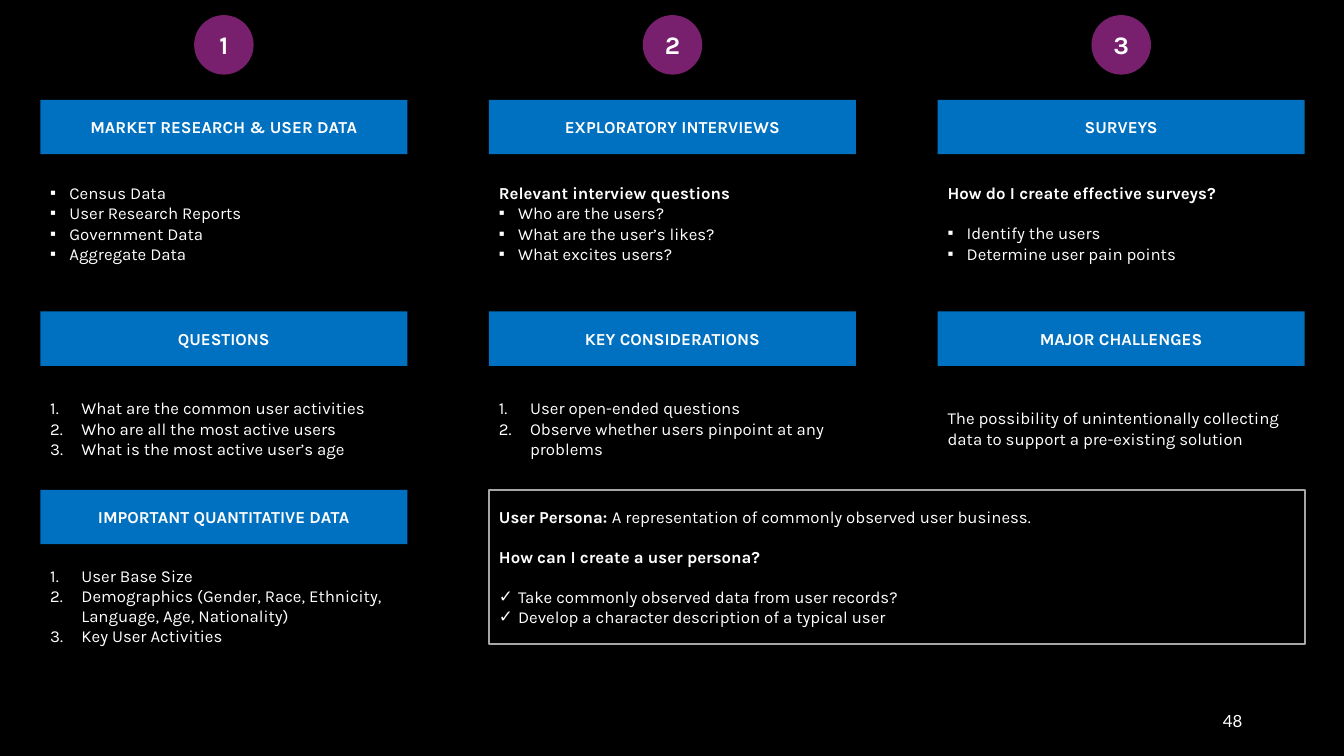
from dataclasses import dataclass

from lxml import etree
from pptx import Presentation
from pptx.dml.color import RGBColor
from pptx.enum import shapes, text
from pptx.oxml import ns
from pptx.shapes.autoshape import Shape
from pptx.slide import Slide
from pptx.util import Inches, Pt

BLACK = RGBColor(0x00, 0x00, 0x00)
WHITE = RGBColor(0xFF, 0xFF, 0xFF)
BLUE = RGBColor(0x00, 0x70, 0xC0)
PURPLE = RGBColor(0x78, 0x20, 0x6E)
GREY = RGBColor(0xA6, 0xA6, 0xA6)

LEFT, COLUMN_STEP, COLUMN_WIDTH = 0.4, 4.45, 3.64
HEADER_HEIGHT, BADGE_SIZE = 0.54, 0.59
BLANK_LINE = 14.2
SQUARE, CHECK, NUMBER = "▪", "✓", "1."
INDENTS = {SQUARE: 0.19, CHECK: 0.19, NUMBER: 0.31}
Align = text.PP_ALIGN


@dataclass(frozen=True)
class Run:
    text: str
    bold: bool = False
    size: float = 12
    font: str = "Karla"


@dataclass(frozen=True)
class Line:
    runs: tuple[Run, ...]
    bullet: str = ""
    align: Align = Align.LEFT
    gap: float = 0


@dataclass(frozen=True)
class Section:
    column: int
    header_top: float
    title: str
    body_top: float
    body_height: float
    body_width: float
    lines: list[Line]


def items(bullet: str, *texts: str, align: Align = Align.LEFT, gap: float = 0) -> list[Line]:
    """Make list lines, with the gap only above the first one."""
    return [Line((Run(item),), bullet, align, 0 if index else gap)
            for index, item in enumerate(texts)]


def heading(words: str, align: Align = Align.LEFT, gap: float = 0) -> Line:
    return Line((Run(words, bold=True),), align=align, gap=gap)


SECTIONS = [
    Section(0, 0.99, "MARKET RESEARCH & USER DATA", 1.73, 0.97, 2.64,
            items(SQUARE, "Census Data", "User Research Reports", "Government Data",
                  "Aggregate Data", align=Align.JUSTIFY)),
    Section(0, 3.09, "QUESTIONS", 3.87, 0.76, COLUMN_WIDTH,
            items(NUMBER, "What are the common user activities",
                  "Who are all the most active users",
                  "What is the most active user’s age")),
    Section(0, 4.86, "IMPORTANT QUANTITATIVE DATA", 5.63, 0.76, COLUMN_WIDTH,
            items(NUMBER, "User Base Size",
                  "Demographics (Gender, Race, Ethnicity, Language, Age, Nationality)",
                  "Key User Activities")),
    Section(1, 0.99, "EXPLORATORY INTERVIEWS", 1.73, 0.97, 2.64,
            [heading("Relevant interview questions", Align.JUSTIFY)]
            + items(SQUARE, "Who are the users?", "What are the user’s likes?",
                    "What excites users?", align=Align.JUSTIFY)),
    Section(1, 3.09, "KEY CONSIDERATIONS", 3.87, 0.76, COLUMN_WIDTH,
            items(NUMBER, "User open-ended questions",
                  "Observe whether users pinpoint at any problems")),
    Section(2, 0.99, "SURVEYS", 1.73, 0.97, COLUMN_WIDTH,
            [heading("How do I create effective surveys?", Align.JUSTIFY)]
            + items(SQUARE, "Identify the users", "Determine user pain points",
                    align=Align.JUSTIFY, gap=BLANK_LINE)),
    Section(2, 3.09, "MAJOR CHALLENGES", 3.87, 0.76, COLUMN_WIDTH,
            items("", "The possibility of unintentionally collecting data "
                      "to support a pre-existing solution")),
]

PERSONA = [
    Line((Run("User Persona: ", bold=True),
          Run("A representation of commonly observed user business."))),
    heading("How can I create a user persona?", gap=BLANK_LINE),
    *items(CHECK, "Take commonly observed data from user records?",
           "Develop a character description of a typical user", gap=BLANK_LINE),
]


def column_left(column: int) -> float:
    return LEFT + column * COLUMN_STEP


def add_bullet(paragraph, bullet: str) -> None:
    properties = paragraph._p.get_or_add_pPr()
    indent = Inches(INDENTS[bullet])
    properties.set("marL", str(indent))
    properties.set("indent", str(-indent))
    if bullet == NUMBER:
        etree.SubElement(properties, ns.qn("a:buAutoNum"), type="arabicPeriod")
    else:
        etree.SubElement(properties, ns.qn("a:buFont"), typeface="Arial")
        etree.SubElement(properties, ns.qn("a:buChar"), char=bullet)


def write(shape: Shape, lines: list[Line]) -> None:
    frame = shape.text_frame
    frame.word_wrap = True
    frame.vertical_anchor = text.MSO_ANCHOR.MIDDLE
    for index, line in enumerate(lines):
        paragraph = frame.add_paragraph() if index else frame.paragraphs[0]
        paragraph.alignment = line.align
        if line.gap:
            paragraph.space_before = Pt(line.gap)
        if line.bullet:
            add_bullet(paragraph, line.bullet)
        for part in line.runs:
            run = paragraph.add_run()
            run.text = part.text
            run.font.name = part.font
            run.font.size = Pt(part.size)
            run.font.bold = part.bold
            run.font.color.rgb = WHITE


def add_text(slide: Slide, left: float, top: float, width: float, height: float,
             lines: list[Line]) -> None:
    box = slide.shapes.add_textbox(Inches(left), Inches(top), Inches(width), Inches(height))
    write(box, lines)


def add_panel(slide: Slide, kind: shapes.MSO_SHAPE, left: float, top: float, width: float,
              height: float, lines: list[Line], fill: RGBColor | None = None) -> Shape:
    """Add a filled shape without outline, or an unfilled one with a grey outline."""
    panel = slide.shapes.add_shape(kind, Inches(left), Inches(top), Inches(width), Inches(height))
    panel.shadow.inherit = False
    if fill is None:
        panel.fill.background()
        panel.line.color.rgb = GREY
        panel.line.width = Pt(1.5)
    else:
        panel.fill.solid()
        panel.fill.fore_color.rgb = fill
        panel.line.fill.background()
    write(panel, lines)
    return panel


def add_section(slide: Slide, section: Section) -> None:
    left = column_left(section.column)
    add_panel(slide, shapes.MSO_SHAPE.RECTANGLE, left, section.header_top, COLUMN_WIDTH,
              HEADER_HEIGHT, [heading(section.title, Align.CENTER)], BLUE)
    add_text(slide, left, section.body_top, section.body_width, section.body_height,
             section.lines)


def add_badge(slide: Slide, column: int) -> None:
    left = column_left(column) + (COLUMN_WIDTH - BADGE_SIZE) / 2
    number = Run(str(column + 1), bold=True, size=18)
    badge = add_panel(slide, shapes.MSO_SHAPE.OVAL, left, 0.15, BADGE_SIZE, BADGE_SIZE,
                      [Line((number,), align=Align.CENTER)], PURPLE)
    badge.text_frame.margin_left = badge.text_frame.margin_right = 0


def main() -> None:
    presentation = Presentation()
    presentation.slide_width = Inches(13.33)
    presentation.slide_height = Inches(7.5)
    slide = presentation.slides.add_slide(presentation.slide_layouts[6])
    slide.background.fill.solid()
    slide.background.fill.fore_color.rgb = BLACK

    add_text(slide, 9.42, 6.95, 3, 0.4, [Line((Run("48", font="Lato"),), align=Align.RIGHT)])
    for section in SECTIONS:
        add_section(slide, section)
    for column in range(3):
        add_badge(slide, column)
    add_panel(slide, shapes.MSO_SHAPE.RECTANGLE, column_left(1), 4.86,
              COLUMN_STEP + COLUMN_WIDTH, 1.53, PERSONA)
    presentation.save("out.pptx")


if __name__ == "__main__":
    main()
